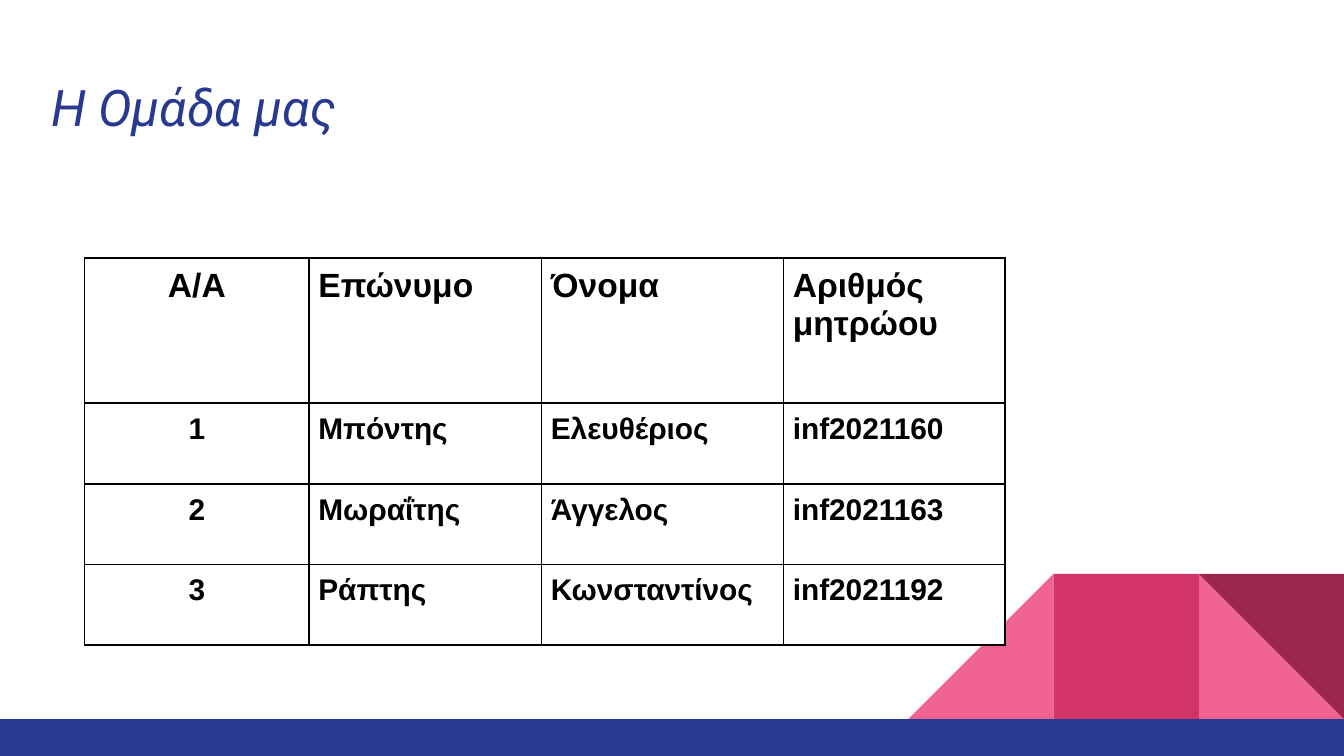
import pptx
import pptx.dml.color
import pptx.enum.shapes
import pptx.enum.text
import pptx.oxml
import pptx.oxml.ns
import pptx.util

Inches = pptx.util.Inches
Pt = pptx.util.Pt
SHAPES = pptx.enum.shapes.MSO_SHAPE
ALIGN = pptx.enum.text.PP_ALIGN

NAVY, PINK, ROSE, WINE = "2A3990", "F06292", "D23369", "9C254D"
BLACK, WHITE = "000000", "FFFFFF"
SLIDE_WIDTH = 10
SLIDE_HEIGHT = SLIDE_WIDTH * 9 / 16
BAND_TOP, TILE = 5.35, 1.08

MEMBERS = [
    ("Α/Α", "Επώνυμο", "Όνομα", "Αριθμός μητρώου"),
    ("1", "Μπόντης", "Ελευθέριος", "inf2021160"),
    ("2", "Μωραΐτης", "Άγγελος", "inf2021163"),
    ("3", "Ράπτης", "Κωνσταντίνος", "inf2021192"),
]
COLUMN_WIDTHS = [1.67, 1.73, 1.8, 1.65]
ROW_HEIGHTS = [1.08, 0.6, 0.6, 0.6]


def color(hex_string):
    return pptx.dml.color.RGBColor.from_string(hex_string)


def set_fill(target, hex_string):
    target.fill.solid()
    target.fill.fore_color.rgb = color(hex_string)


def format_font(font, name, size, hex_string, bold=False, italic=False):
    font.name = name
    font.size = Pt(size)
    font.bold = bold
    font.italic = italic
    font.color.rgb = color(hex_string)


def add_block(slide, kind, left, top, width, height, hex_string):
    shape = slide.shapes.add_shape(
        kind, Inches(left), Inches(top), Inches(width), Inches(height))
    set_fill(shape, hex_string)
    shape.line.fill.background()
    shape.shadow.inherit = False
    return shape


def add_corner(slide, right, bottom, tile):
    """Three square tiles of triangles and a square, ending at right, bottom."""
    first, middle, last = (right - count * tile for count in (3, 2, 1))
    top = bottom - tile
    add_block(slide, SHAPES.RIGHT_TRIANGLE, last, top, tile, tile, PINK)
    mirrored = add_block(slide, SHAPES.RIGHT_TRIANGLE, first, top, tile, tile, PINK)
    mirrored.element.spPr.find(pptx.oxml.ns.qn("a:xfrm")).set("flipH", "1")
    add_block(slide, SHAPES.RECTANGLE, middle, top, tile, tile, ROSE)
    turned = add_block(slide, SHAPES.RIGHT_TRIANGLE, last, top, tile, tile, WINE)
    turned.rotation = 180


def add_title(slide, left, top, width, height, text):
    title = slide.shapes.title
    title.left, title.top = Inches(left), Inches(top)
    title.width, title.height = Inches(width), Inches(height)
    frame = title.text_frame
    frame.text = text
    frame.word_wrap = True
    frame.auto_size = pptx.enum.text.MSO_AUTO_SIZE.NONE
    frame.vertical_anchor = pptx.enum.text.MSO_ANCHOR.MIDDLE
    frame.margin_left = frame.margin_right = Inches(0.1)
    frame.margin_top = frame.margin_bottom = Inches(0.1)
    paragraph = frame.paragraphs[0]
    paragraph.alignment = ALIGN.LEFT
    format_font(paragraph.runs[0].font, "Roboto", 27, NAVY, italic=True)


def set_borders(cell, hex_string, points):
    properties = cell._tc.get_or_add_tcPr()
    for index, side in enumerate(("lnL", "lnR", "lnT", "lnB")):
        line = pptx.oxml.parse_xml(
            f'<a:{side} {pptx.oxml.ns.nsdecls("a")} w="{Pt(points)}">'
            f'<a:solidFill><a:srgbClr val="{hex_string}"/></a:solidFill></a:{side}>')
        properties.insert(index, line)


def fill_cell(cell, text, size, alignment):
    cell.text = text
    cell.margin_left = cell.margin_right = Inches(0.07)
    cell.margin_top = cell.margin_bottom = Inches(0.07)
    set_fill(cell, WHITE)
    set_borders(cell, BLACK, 1)
    paragraph = cell.text_frame.paragraphs[0]
    paragraph.alignment = alignment
    format_font(paragraph.runs[0].font, "Arial", size, BLACK, bold=True)


def add_member_table(slide, left, top):
    table = slide.shapes.add_table(
        len(MEMBERS), len(COLUMN_WIDTHS), Inches(left), Inches(top),
        Inches(sum(COLUMN_WIDTHS)), Inches(sum(ROW_HEIGHTS))).table
    table.first_row = table.horz_banding = False
    for column, width in zip(table.columns, COLUMN_WIDTHS):
        column.width = Inches(width)
    for row_index, (member, height) in enumerate(zip(MEMBERS, ROW_HEIGHTS)):
        table.rows[row_index].height = Inches(height)
        for column_index, text in enumerate(member):
            fill_cell(table.cell(row_index, column_index), text,
                      size=18 if row_index == 0 else 16,
                      alignment=ALIGN.CENTER if column_index == 0 else ALIGN.LEFT)


def main():
    presentation = pptx.Presentation()
    presentation.slide_width = Inches(SLIDE_WIDTH)
    presentation.slide_height = Inches(SLIDE_HEIGHT)
    slide = presentation.slides.add_slide(presentation.slide_layouts[5])
    set_fill(slide.background, WHITE)
    add_corner(slide, SLIDE_WIDTH, BAND_TOP, TILE)
    add_block(slide, SHAPES.RECTANGLE, 0, BAND_TOP,
              SLIDE_WIDTH, SLIDE_HEIGHT - BAND_TOP, NAVY)
    add_title(slide, 0.28, 0.46, 9.38, 0.66, "Η Ομάδα μας")
    add_member_table(slide, 0.63, 1.92)
    presentation.save("out.pptx")


if __name__ == "__main__":
    main()
